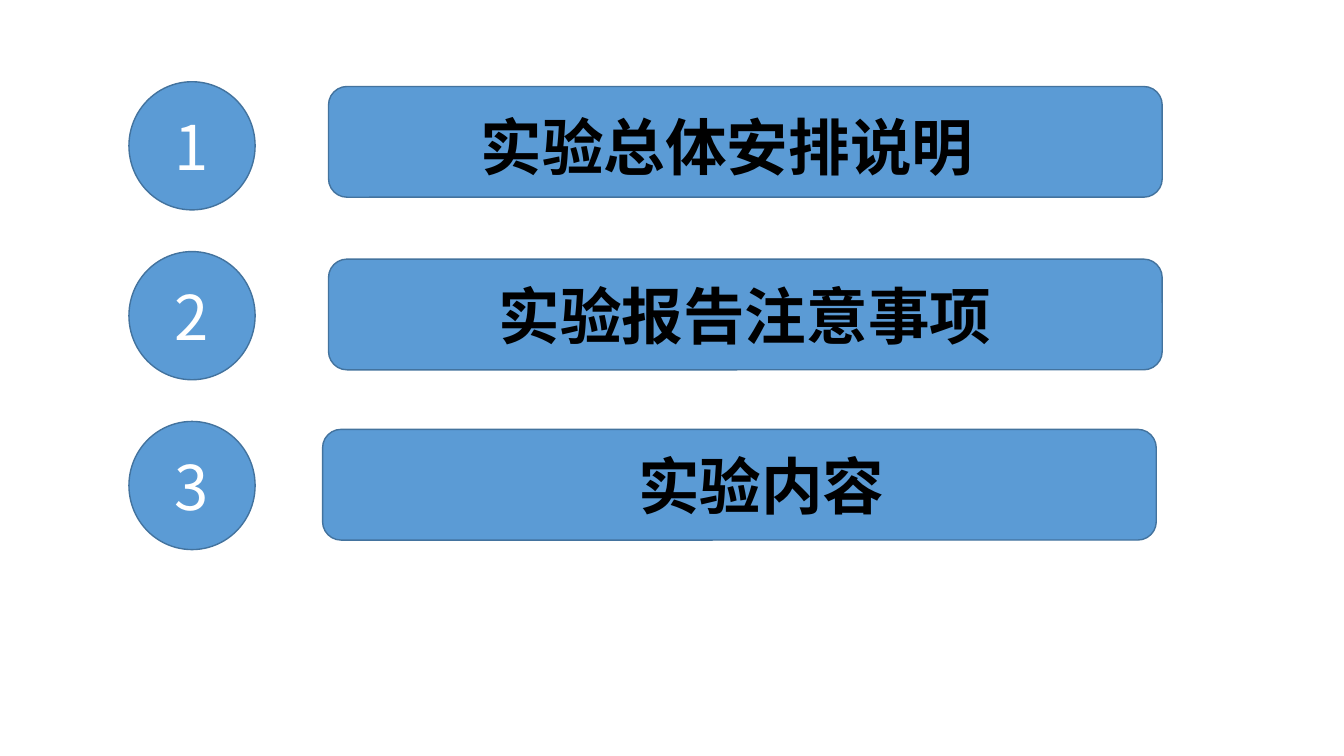
from lxml import etree
from pptx import Presentation
from pptx.dml.color import RGBColor
from pptx.enum import shapes, text
from pptx.oxml.ns import qn
from pptx.util import Cm, Pt

AGENDA = [
    {"title": "实验总体安排说明", "bar": (8.28, 2.18), "label": (11.86, 14.66), "align": "LEFT"},
    {"title": "实验报告注意事项", "bar": (8.28, 6.53), "label": (12.01, 13.54), "align": "CENTER"},
    {"title": "实验内容", "bar": (8.13, 10.82), "label": (9.83, 18.72), "align": "CENTER"},
]
COLORS = {"fill": "5B9BD5", "line": "43739E", "number": "FFFFFF", "title": "000000"}
FONT = "Noto Sans CJK SC"
PITCH = 4.28
CIRCLE_LEFT, CIRCLE_TOP, CIRCLE_W, CIRCLE_H = 3.25, 2.06, 3.18, 3.23
BAR_W, BAR_H = 21.01, 2.79
LABEL_TOP, LABEL_H = 2.61, 2.13


def color(name):
    return RGBColor.from_string(COLORS[name])


def add_panel(s, kind, left, top, width, height):
    sp = s.shapes.add_shape(kind, Cm(left), Cm(top), Cm(width), Cm(height))
    sp.shadow.inherit = False
    sp.fill.solid()
    sp.fill.fore_color.rgb = color("fill")
    sp.line.color.rgb = color("line")
    sp.line.width = Pt(1)
    return sp


def write(sp, words, name, align, bold=False):
    tf = sp.text_frame
    tf.word_wrap = True
    p = tf.paragraphs[0]
    p.alignment = align
    r = p.add_run()
    r.text = words
    r.font.size = Pt(44)
    r.font.bold = bold
    r.font.name = FONT
    r.font.color.rgb = color(name)
    latin = r.font._element.find(qn("a:latin"))
    ea = etree.Element(qn("a:ea"), typeface=FONT)
    latin.addnext(ea)
    return tf


prs = Presentation()
prs.slide_width, prs.slide_height = Cm(33.87), Cm(19.05)
s = prs.slides.add_slide(prs.slide_layouts[6])

for i, item in enumerate(AGENDA):
    add_panel(s, shapes.MSO_SHAPE.ROUNDED_RECTANGLE, *item["bar"], BAR_W, BAR_H)

    circle = add_panel(s, shapes.MSO_SHAPE.FLOWCHART_CONNECTOR,
                       CIRCLE_LEFT, CIRCLE_TOP + i * PITCH, CIRCLE_W, CIRCLE_H)
    tf = write(circle, str(i + 1), "number", text.PP_ALIGN.CENTER)
    tf.vertical_anchor = text.MSO_ANCHOR.MIDDLE

    left, width = item["label"]
    label = s.shapes.add_textbox(Cm(left), Cm(LABEL_TOP + i * PITCH), Cm(width), Cm(LABEL_H))
    tf = write(label, item["title"], "title", text.PP_ALIGN[item["align"]], bold=True)
    tf.auto_size = text.MSO_AUTO_SIZE.SHAPE_TO_FIT_TEXT

prs.save("out.pptx")
